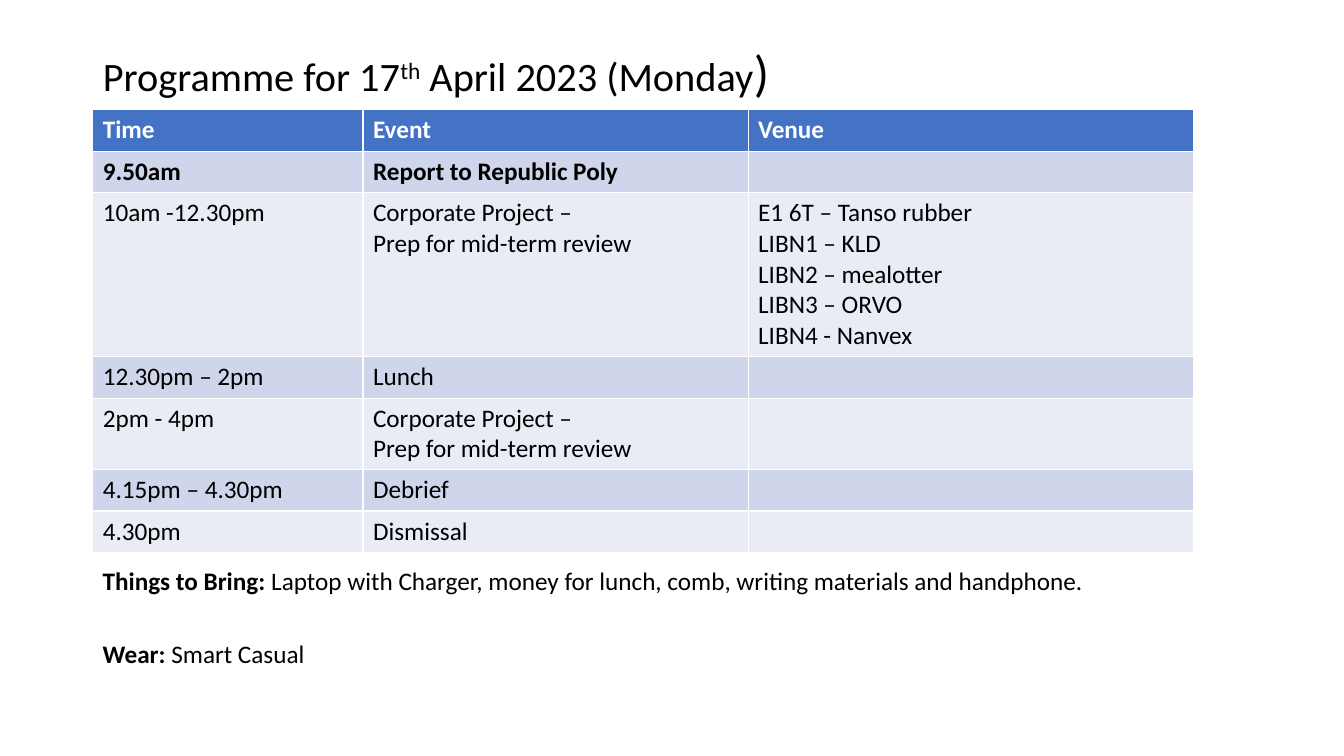
from pptx import Presentation
from pptx.dml.color import RGBColor
from pptx.enum import text
from pptx.util import Inches, Pt

BLACK = RGBColor(0x00, 0x00, 0x00)
WHITE = RGBColor(0xFF, 0xFF, 0xFF)
HEADER_BLUE = RGBColor(0x44, 0x72, 0xC4)
BAND_DARK = RGBColor(0xCF, 0xD5, 0xEA)
BAND_LIGHT = RGBColor(0xE9, 0xEB, 0xF5)

LEFT = Inches(0.92)
PROJECT = "Corporate Project –\vPrep for mid-term review"
TEAMS = "E1 6T – Tanso rubber\vLIBN1 – KLD\vLIBN2 – mealotter\vLIBN3 – ORVO\nLIBN4 - Nanvex"
PROGRAMME = [
    ("Time", "Event", "Venue"),
    ("9.50am", "Report to Republic Poly", ""),
    ("10am -12.30pm", PROJECT, TEAMS),
    ("12.30pm – 2pm", "Lunch", ""),
    ("2pm - 4pm", PROJECT, ""),
    ("4.15pm – 4.30pm", "Debrief", ""),
    ("4.30pm", "Dismissal", ""),
]
COLUMN_WIDTHS = [2.68, 3.82, 4.42]
ROW_HEIGHTS = [0.41, 0.41, 1.63, 0.41, 0.71, 0.41, 0.41]
NOTES = [
    (5.56, 12.07, "Things to Bring: ",
     "Laptop with Charger, money for lunch, comb, writing materials and handphone."),
    (6.28, 11.18, "Wear: ", "Smart Casual"),
]


def style_font(font, size=18, bold=False, color=BLACK):
    font.name = "Calibri"
    font.size = Pt(size)
    font.bold = bold
    font.color.rgb = color


deck = Presentation()
deck.slide_width = Inches(13.33)
deck.slide_height = Inches(7.5)
page = deck.slides.add_slide(deck.slide_layouts[5])

# Title
title = page.shapes.title
title.left, title.top = LEFT, Inches(0.4)
title.width, title.height = Inches(11.18), Inches(0.69)
title.text_frame.auto_size = text.MSO_AUTO_SIZE.NONE
title.text_frame.vertical_anchor = text.MSO_ANCHOR.MIDDLE
heading = title.text_frame.paragraphs[0]
heading.alignment = text.PP_ALIGN.LEFT
heading.line_spacing = 0.9
for words, size, baseline in [
    ("Programme for 17", 28.8, 0),
    ("th", 28.8, 30000),
    (" April 2023 (Monday", 28.8, 0),
    (")", 36, 0),
]:
    span = heading.add_run()
    span.text = words
    style_font(span.font, size)
    if baseline:
        span.font._element.set("baseline", str(baseline))

# Programme table
table = page.shapes.add_table(
    len(PROGRAMME), len(COLUMN_WIDTHS), LEFT, Inches(1.09),
    Inches(sum(COLUMN_WIDTHS)), Inches(sum(ROW_HEIGHTS))).table
for column, width in zip(table.columns, COLUMN_WIDTHS):
    column.width = Inches(width)
for row_index, entries in enumerate(PROGRAMME):
    table.rows[row_index].height = Inches(ROW_HEIGHTS[row_index])
    if row_index == 0:
        fill_color = HEADER_BLUE
    else:
        fill_color = BAND_DARK if row_index % 2 else BAND_LIGHT
    for column_index, entry in enumerate(entries):
        cell = table.cell(row_index, column_index)
        cell.fill.solid()
        cell.fill.fore_color.rgb = fill_color
        cell.text_frame.text = entry
        for para in cell.text_frame.paragraphs:
            for span in para.runs:
                style_font(span.font, bold=row_index < 2,
                           color=BLACK if row_index else WHITE)

# Notes below the table
for top, width, label, detail in NOTES:
    box = page.shapes.add_textbox(LEFT, Inches(top), Inches(width), Inches(0.4))
    box.text_frame.word_wrap = True
    box.text_frame.auto_size = text.MSO_AUTO_SIZE.SHAPE_TO_FIT_TEXT
    para = box.text_frame.paragraphs[0]
    for words, bold in [(label, True), (detail, False)]:
        span = para.add_run()
        span.text = words
        style_font(span.font, bold=bold)

deck.save("out.pptx")
